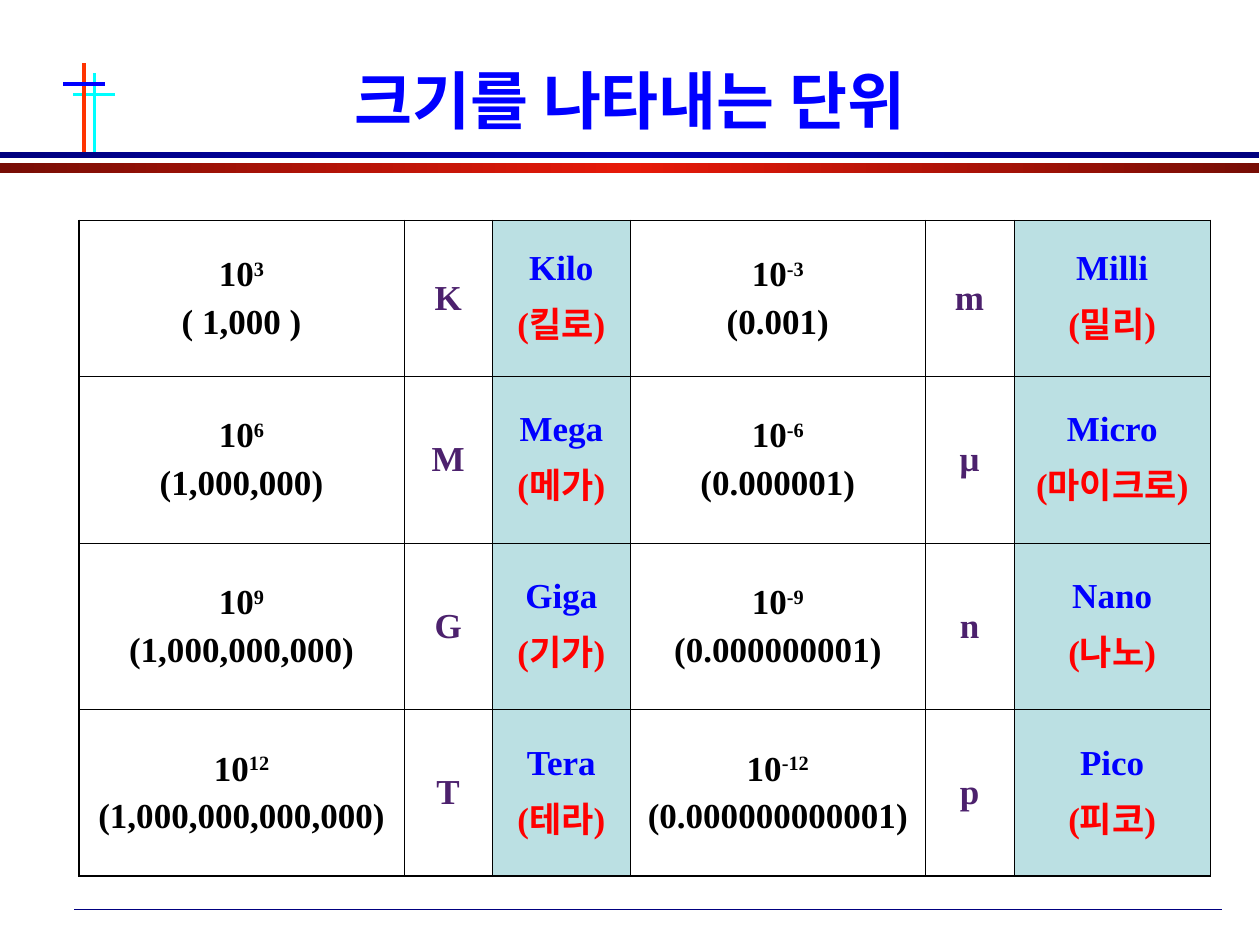
"""Build a slide that lists the metric prefixes with their powers of ten."""
from copy import deepcopy

from lxml.etree import SubElement
from pptx import Presentation
from pptx.dml.color import RGBColor
from pptx.enum.shapes import MSO_CONNECTOR, MSO_SHAPE
from pptx.enum.text import MSO_ANCHOR, PP_ALIGN
from pptx.oxml import parse_xml
from pptx.oxml.ns import nsdecls, qn
from pptx.util import Pt


def color(hex_string):
    return RGBColor.from_string(hex_string)


def add_paragraph(frame, index, text, size, hex_string, space=0):
    paragraph = frame.paragraphs[0] if index == 0 else frame.add_paragraph()
    paragraph.alignment = PP_ALIGN.CENTER
    paragraph.space_before = Pt(space)
    font = paragraph.font
    font.name, font.size, font.bold = "Times New Roman", Pt(size), True
    font.color.rgb = color(hex_string)
    base, _, exponent = text.partition("^")
    paragraph.add_run().text = base
    if exponent:
        superscript = paragraph.add_run()
        superscript.text = exponent
        superscript.font._element.set("baseline", "30000")


presentation = Presentation()
presentation.slide_width, presentation.slide_height = Pt(720), Pt(540)
slide = presentation.slides.add_slide(presentation.slide_layouts[6])

rules = [
    (42.5, 519.8, 698.4, 519.8, "000080", 0.75),
    (42, 54, 66, 54, "00FFFF", 2),
    (54, 42, 54, 87.5, "00FFFF", 1.75),
    (48, 36, 48, 88.5, "FF3300", 1.75),
    (36, 48, 60, 48, "0000FF", 2),
]
bands = [
    (87, 3.2, "00007F", "0000B6"),
    (93.2, 5.8, "770D05", "E71909"),
]
for x1, y1, x2, y2, stroke, width in rules:
    rule = slide.shapes.add_connector(MSO_CONNECTOR.STRAIGHT, Pt(x1), Pt(y1), Pt(x2), Pt(y2))
    rule.line.color.rgb = color(stroke)
    rule.line.width = Pt(width)
    SubElement(rule._element.spPr, qn("a:effectLst"))

for top, height, edge, middle in bands:
    band = slide.shapes.add_shape(MSO_SHAPE.RECTANGLE, 0, Pt(top), Pt(719.5), Pt(height))
    band.shadow.inherit = False
    band.line.fill.background()
    band.fill.gradient()
    band.fill.gradient_angle = 0
    stop_list = band._element.spPr.find(".//" + qn("a:gsLst"))
    stop_list.insert(1, deepcopy(stop_list[0]))
    for stop, position, shade in zip(band.fill.gradient_stops, (0, 0.5, 1), (edge, middle, edge)):
        stop.position = position
        stop.color.rgb = color(shade)

title = slide.shapes.add_textbox(Pt(111), Pt(36), Pt(498), Pt(42)).text_frame
title.word_wrap = True
title.vertical_anchor = MSO_ANCHOR.MIDDLE
add_paragraph(title, 0, "크기를 나타내는 단위", 36, "0000FF")

prefixes = [
    (("10^3", "( 1,000 )"), "K", ("Kilo", "(킬로)"),
     ("10^-3", "(0.001)"), "m", ("Milli", "(밀리)")),
    (("10^6", "(1,000,000)"), "M", ("Mega", "(메가)"),
     ("10^-6", "(0.000001)"), "μ", ("Micro", "(마이크로)")),
    (("10^9", "(1,000,000,000)"), "G", ("Giga", "(기가)"),
     ("10^-9", "(0.000000001)"), "n", ("Nano", "(나노)")),
    (("10^12", "(1,000,000,000,000)"), "T", ("Tera", "(테라)"),
     ("10^-12", "(0.000000000001)"), "p", ("Pico", "(피코)")),
]
column_widths = [185.6, 50.6, 78.8, 168.6, 50.6, 112.4]
row_heights = [89.2, 95.2, 95.2, 95.2]
column_colors = [("000000", "000000"), ("4C216D",), ("0000FF", "FF0000")] * 2

units = slide.shapes.add_table(
    len(row_heights), len(column_widths), Pt(45.2), Pt(126),
    Pt(sum(column_widths)), Pt(sum(row_heights))).table
units.first_row = units.horz_banding = False
for column, width in zip(units.columns, column_widths):
    column.width = Pt(width)
for row, height in zip(units.rows, row_heights):
    row.height = Pt(height)

last_row, last_column = len(row_heights) - 1, len(column_widths) - 1
for r, prefix in enumerate(prefixes):
    for c, lines in enumerate(prefix):
        cell = units.cell(r, c)
        cell.vertical_anchor = MSO_ANCHOR.MIDDLE
        cell.margin_left = cell.margin_right = Pt(7.2)
        cell.margin_top = cell.margin_bottom = Pt(3.6)
        if c % 3 == 2:
            cell.fill.solid()
            cell.fill.fore_color.rgb = color("BBE0E3")
        else:
            cell.fill.background()
        for i, (line, ink) in enumerate(zip(lines, column_colors[c])):
            add_paragraph(cell.text_frame, i, line, 20, ink, space=5)
        outer_edges = {"L": c == 0, "R": c == last_column, "T": r == 0, "B": r == last_row}
        for i, (side, is_outer) in enumerate(outer_edges.items()):
            border = parse_xml(
                f'<a:ln{side} {nsdecls("a")} w="{Pt(1.08 if is_outer else 0.45)}">'
                f'<a:solidFill><a:srgbClr val="000000"/></a:solidFill></a:ln{side}>')
            cell._tc.get_or_add_tcPr().insert(i, border)

presentation.save("out.pptx")
